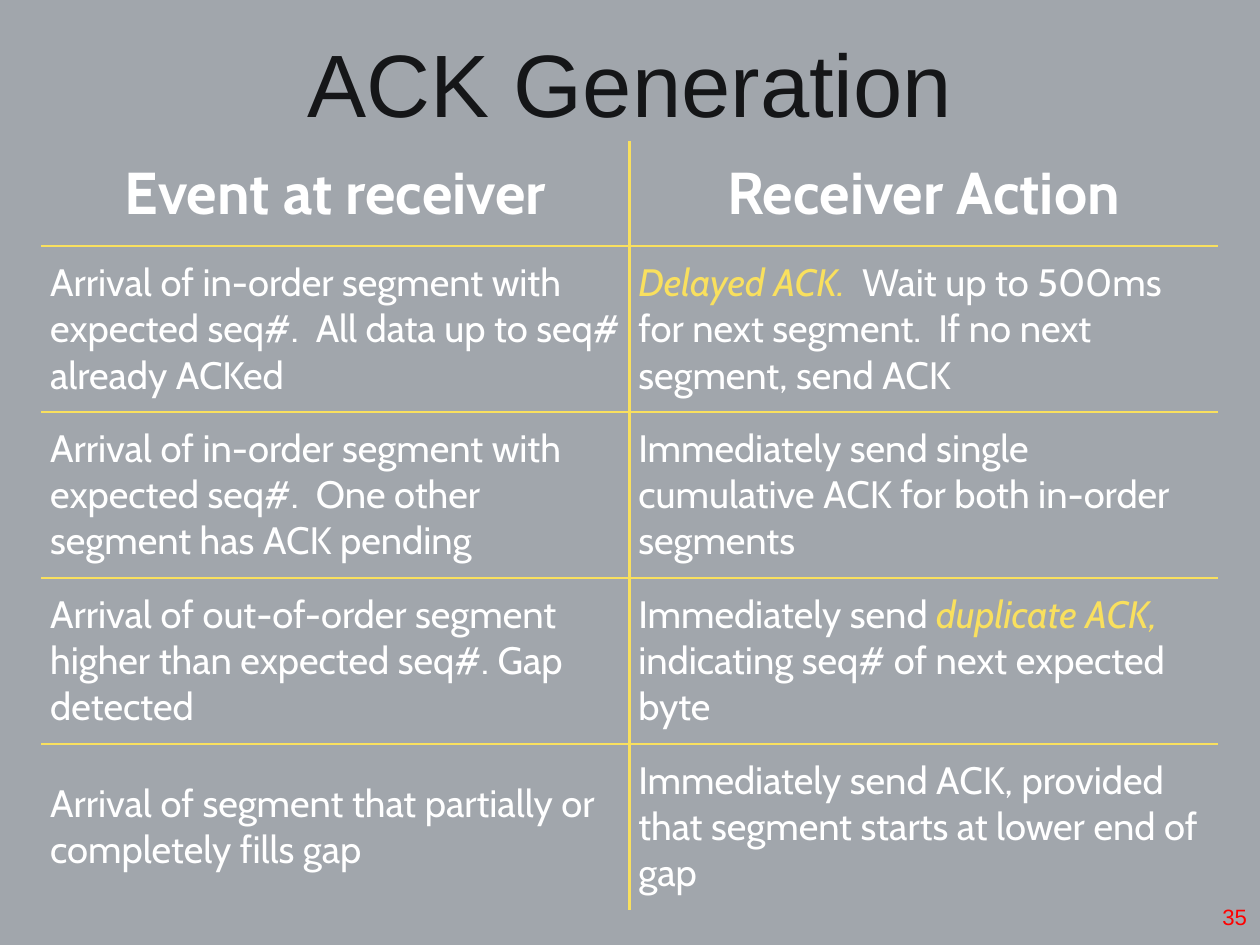
from lxml import etree
from pptx import Presentation
from pptx.dml.color import RGBColor
from pptx.enum import text
from pptx.oxml import ns
from pptx.util import Pt

GREY = RGBColor(0xA1, 0xA6, 0xAC)
BLACK = RGBColor(0x15, 0x16, 0x18)
RED = RGBColor(0xFF, 0x00, 0x00)
WHITE = RGBColor(0xFF, 0xFF, 0xFF)
YELLOW = RGBColor(0xF9, 0xE0, 0x5E)

HEADINGS = ["Event at receiver", "Receiver Action"]
RULES = [
    (["Arrival of in-order segment with expected seq#.  All data up to seq# already ACKed"],
     ["Delayed ACK.", "  Wait up to 500ms for next segment.  If no next segment, send ACK"]),
    (["Arrival of in-order segment with expected seq#.  One other segment has ACK pending"],
     ["Immediately send single cumulative ACK for both in-order segments"]),
    (["Arrival of out-of-order segment higher than expected seq#. Gap detected"],
     ["Immediately send ", "duplicate ACK,", " indicating seq# of next expected byte"]),
    (["Arrival of segment that partially or completely fills gap"],
     ["Immediately send ACK, provided that segment starts at lower end of gap"]),
]
KEY_TERMS = {"Delayed ACK.", "duplicate ACK,"}
HEADING_HEIGHT, RULE_HEIGHT, COLUMN_WIDTH = 85.5, 134.9, 478


def style_run(run, font_name, size, color):
    """Apply typeface, size and colour to a run."""
    run.font.name = font_name
    run.font.size = Pt(size)
    run.font.color.rgb = color


def set_margins(holder, margin):
    """Give a cell or text frame the same margin on all sides."""
    holder.margin_left = holder.margin_right = Pt(margin)
    holder.margin_top = holder.margin_bottom = Pt(margin)


def add_label(slide, wording, box, size, color, wrap):
    """Add a centred one-line text box and return its frame."""
    frame = slide.shapes.add_textbox(*map(Pt, box)).text_frame
    frame.word_wrap = wrap
    set_margins(frame, 4)
    frame.text = wording
    line = frame.paragraphs[0]
    line.alignment = text.PP_ALIGN.CENTER
    style_run(line.runs[0], "Arial", size, color)
    return frame


def set_borders(cell, visible):
    """Draw the named sides of a cell in yellow and clear the others."""
    properties = cell._tc.get_or_add_tcPr()
    for position, side in enumerate("LRTB"):
        border = etree.Element(ns.qn(f"a:ln{side}"), w=str(Pt(2)))
        if side in visible:
            fill = etree.SubElement(border, ns.qn("a:solidFill"))
            etree.SubElement(fill, ns.qn("a:srgbClr"), val=str(YELLOW))
        else:
            etree.SubElement(border, ns.qn("a:noFill"))
        properties.insert(position, border)


def fill_cell(cell, parts, is_heading):
    """Write the parts of a cell, with key terms in yellow italics."""
    cell.fill.background()
    cell.vertical_anchor = text.MSO_ANCHOR.MIDDLE
    set_margins(cell, 4 if is_heading else 7.2)
    line = cell.text_frame.paragraphs[0]
    line.alignment = text.PP_ALIGN.CENTER if is_heading else text.PP_ALIGN.LEFT
    for part in parts:
        run = line.add_run()
        run.text = part
        is_key = part in KEY_TERMS
        style_run(run, "Cabin", 48 if is_heading else 31, YELLOW if is_key else WHITE)
        run.font.bold = is_heading
        run.font.italic = is_key


def add_rules_table(slide):
    """Add the table of receiver events and actions with inner borders only."""
    rows = [[[heading] for heading in HEADINGS], *RULES]
    height = HEADING_HEIGHT + RULE_HEIGHT * len(RULES)
    table = slide.shapes.add_table(len(rows), len(HEADINGS), Pt(33.6), Pt(114.5),
                                   Pt(COLUMN_WIDTH * len(HEADINGS)), Pt(height)).table
    table.horz_banding = False
    table.first_row = False
    for row_index, row in enumerate(rows):
        table.rows[row_index].height = Pt(RULE_HEIGHT if row_index else HEADING_HEIGHT)
        for column_index, parts in enumerate(row):
            cell = table.cell(row_index, column_index)
            fill_cell(cell, parts, row_index == 0)
            sides = "L" if column_index else "R"
            sides += "T" if row_index else ""
            sides += "B" if row_index < len(rows) - 1 else ""
            set_borders(cell, sides)


def main():
    """Build the ACK generation slide."""
    deck = Presentation()
    deck.slide_width, deck.slide_height = Pt(1024), Pt(768)
    slide = deck.slides.add_slide(deck.slide_layouts[6])
    slide.background.fill.solid()
    slide.background.fill.fore_color.rgb = GREY

    title = add_label(slide, "ACK Generation", (100, 20, 824, 94), 72, BLACK, True)
    title.vertical_anchor = text.MSO_ANCHOR.MIDDLE
    page_number = add_label(slide, "35", (987, 730, 33, 29), 18, RED, False)
    page_number.auto_size = text.MSO_AUTO_SIZE.SHAPE_TO_FIT_TEXT
    add_rules_table(slide)
    deck.save("out.pptx")


if __name__ == "__main__":
    main()
